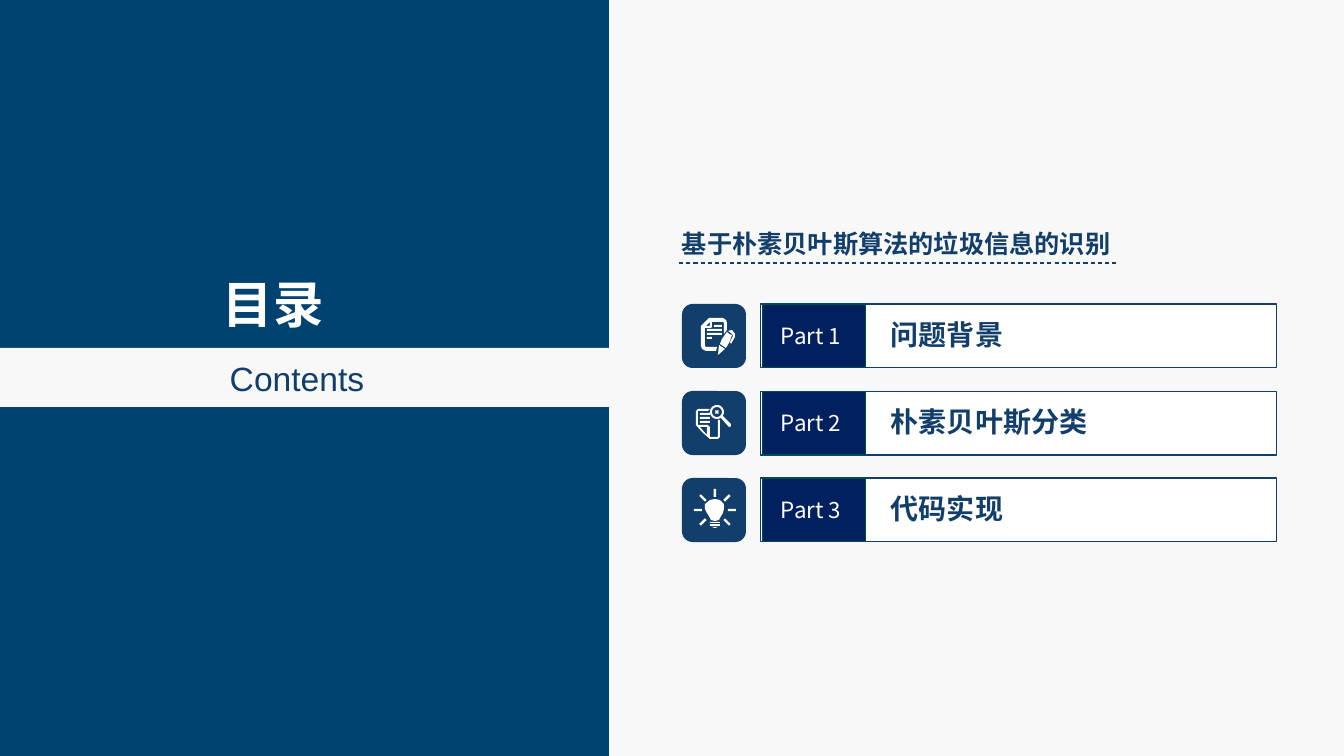
from math import cos, radians, sin

from lxml import etree
from pptx import Presentation
from pptx.dml.color import RGBColor
from pptx.enum.dml import MSO_LINE
from pptx.enum.shapes import MSO_CONNECTOR, MSO_SHAPE
from pptx.enum.text import MSO_ANCHOR, PP_ALIGN
from pptx.oxml.ns import qn
from pptx.util import Pt

RECT, ROUNDED = MSO_SHAPE.RECTANGLE, MSO_SHAPE.ROUNDED_RECTANGLE
STRAIGHT, DASH = MSO_CONNECTOR.STRAIGHT, MSO_LINE.DASH
TOP, MIDDLE = MSO_ANCHOR.TOP, MSO_ANCHOR.MIDDLE
LEFT, CENTER, JUSTIFY = PP_ALIGN.LEFT, PP_ALIGN.CENTER, PP_ALIGN.JUSTIFY

SLIDE_W, SLIDE_H = 1344, 756
EMU_PER_PX = 12192000 / SLIDE_W
COLORS = {"panel": "004270", "paper": "F8F8F8", "white": "FFFFFF",
          "ink": "113E6A", "badge": "002060", "badge_edge": "004C54"}
SANS, CJK = "Arial", "Noto Sans CJK SC"
ROW_H, ROW_PITCH = 64, 87


def px(length):
    return round(length * EMU_PER_PX)


def rgb(name):
    return RGBColor.from_string(COLORS[name])


def paint(shape, fill, line=None):
    shape.shadow.inherit = False
    shape.fill.solid()
    shape.fill.fore_color.rgb = rgb(fill)
    if line:
        shape.line.color.rgb = rgb(line)
        shape.line.width = Pt(0.75)
    else:
        shape.line.fill.background()


def add_block(shapes, box, fill, line=None, preset=RECT):
    block = shapes.add_shape(preset, *map(px, box))
    paint(block, fill, line)
    return block


def add_label(shapes, box, words, size, font, color, bold=False,
              align=LEFT, anchor=TOP, tight=False):
    """Add one line of text; a tight label has no margins and does not wrap."""
    label = shapes.add_textbox(*map(px, box))
    frame = label.text_frame
    frame.word_wrap = not tight
    frame.vertical_anchor = anchor
    if tight:
        frame.margin_left = frame.margin_right = 0
        frame.margin_top = frame.margin_bottom = 0
    paragraph = frame.paragraphs[0]
    paragraph.alignment = align
    run = paragraph.add_run()
    run.text = words
    run.font.size = Pt(size)
    run.font.name = font
    run.font.bold = bold
    run.font.color.rgb = rgb(color)
    east_asian = etree.SubElement(run.font._element, qn("a:ea"))
    east_asian.set("typeface", font)


def bar(left, top, right, bottom):
    return [(left, top), (right, top), (right, bottom), (left, bottom)]


def ring(x, y, radius):
    return [(x + radius * cos(radians(a)), y + radius * sin(radians(a)))
            for a in range(0, 360, 15)]


def ray(x, y, angle, inner=13, outer=21, half=1.2):
    dx, dy = cos(radians(angle)), -sin(radians(angle))
    return [(x + r * dx - s * dy, y + r * dy + s * dx)
            for r, s in ((inner, -half), (outer, -half), (outer, half), (inner, half))]


def document_icon():
    page = [(27, 14), (41, 14), (44, 16), (45, 19), (45, 26), (42, 30), (42, 19),
            (41, 18), (30, 18), (30, 23), (29, 24), (23, 24), (23, 42), (24, 43),
            (35, 43), (34, 47), (24, 47), (20, 45), (19, 42), (19, 22)]
    fold = [(24, 22), (28, 22), (28, 18)]
    text_lines = [bar(32, 21, 40, 23), bar(25, 25, 40, 27),
                  bar(25, 29, 40, 31), bar(25, 33, 30, 35)]
    clip = [(50, 26), (53, 30), (53, 33), (49, 40), (48, 38), (51, 32), (50, 30), (46, 27)]
    barrel = [(45, 28), (47, 30), (50, 31), (47, 39), (44, 44), (38, 40), (40, 35)]
    nib = [(37, 41), (40, 43), (43, 45), (36, 51)]
    return [page, fold, *text_lines, clip, barrel, nib]


def search_icon():
    page = [(14, 20), (14, 34), (20, 41), (28, 48), (36, 48), (38, 46), (38, 29),
            (36, 29), (36, 46), (28, 46), (28, 36), (26, 34), (16, 34), (16, 20),
            (26, 20), (28, 18), (16, 18)]
    fold = [(25, 44), (25, 36), (18, 36)]
    text_lines = [bar(18, top, 28, top + 2) for top in (22, 26, 30)]
    cross = [(33, 22), (34, 21), (33, 20), (34, 19), (35, 20), (36, 19),
             (37, 20), (36, 21), (37, 22), (36, 23), (35, 22), (34, 23)]
    handle = [(41, 25), (49, 33), (49, 35), (48, 36), (47, 36), (39, 27)]
    return [page, fold, *text_lines, ring(35, 21, 7), ring(35, 21, 5), cross, handle]


def bulb_icon():
    glass = [(33, 21), (38, 22), (42, 26), (42, 31), (41, 35), (38, 40), (37, 42),
             (33, 43), (29, 42), (28, 40), (25, 35), (23, 31), (23, 26), (28, 22)]
    base = [bar(28, 44, 38, 45), bar(28, 46, 38, 48), [(30, 49), (36, 49), (33, 50)]]
    rays = [ray(33, 32, angle) for angle in range(-45, 226, 45)]
    return [glass, *base, *rays]


def add_icon_tile(shapes, left, top, contours):
    tile = shapes.add_group_shape().shapes
    add_block(tile, (left, top, ROW_H, ROW_H), "ink", preset=ROUNDED)
    outlines = [[(px(left + x), px(top + y)) for x, y in contour] for contour in contours]
    builder = tile.build_freeform(*outlines[0][0], scale=1.0)
    builder.add_line_segments(outlines[0][1:], close=True)
    for outline in outlines[1:]:
        builder.move_to(*outline[0])
        builder.add_line_segments(outline[1:], close=True)
    paint(builder.convert_to_shape(), "white")


def add_title_panel(shapes, left, top, width, height):
    add_block(shapes, (left, top, width, height), "panel")
    add_block(shapes, (left, top + 348, width, 59), "paper")
    add_label(shapes, (left + 213, top + 270, 169, 67), "目录", 36, SANS, "white",
              bold=True, align=JUSTIFY, anchor=MIDDLE)
    add_label(shapes, (left + 204, top + 353, 186, 51), "Contents", 24, SANS, "ink",
              align=CENTER)


def add_part_row(shapes, left, top, number, heading, contours):
    add_icon_tile(shapes, left, top, contours)
    add_block(shapes, (left + 79, top, 516, ROW_H), "white", "ink")
    add_block(shapes, (left + 81, top, 103, ROW_H), "badge", "badge_edge")
    add_label(shapes, (left + 99, top + 18, 64, 27), f"Part {number}", 16, CJK, "white",
              tight=True)
    add_label(shapes, (left + 199, top + 9, 348, 44), heading, 20, CJK, "ink", bold=True)


def add_contents_panel(shapes, left, top, width, height):
    add_block(shapes, (left, top, width, height), "paper")
    add_label(shapes, (left + 63, top + 225, 618, 37), "基于朴素贝叶斯算法的垃圾信息的识别",
              18, CJK, "ink", bold=True, anchor=MIDDLE)
    rule_y = px(top + 263)
    rule = shapes.add_connector(STRAIGHT, px(left + 70), rule_y, px(left + 507), rule_y)
    rule.line.color.rgb = rgb("ink")
    rule.line.width = Pt(0.75)
    rule.line.dash_style = DASH
    etree.SubElement(rule._element.spPr, qn("a:effectLst"))
    parts = [("问题背景", document_icon()), ("朴素贝叶斯分类", search_icon()),
             ("代码实现", bulb_icon())]
    for index, (heading, contours) in enumerate(parts):
        add_part_row(shapes, left + 73, top + 304 + index * ROW_PITCH,
                     index + 1, heading, contours)


def main():
    deck = Presentation()
    deck.slide_width, deck.slide_height = px(SLIDE_W), px(SLIDE_H)
    slide = deck.slides.add_slide(deck.slide_layouts[6])
    split = 609
    add_title_panel(slide.shapes, 0, 0, split, SLIDE_H)
    add_contents_panel(slide.shapes, split, 0, SLIDE_W - split, SLIDE_H)
    deck.save("out.pptx")


if __name__ == "__main__":
    main()
